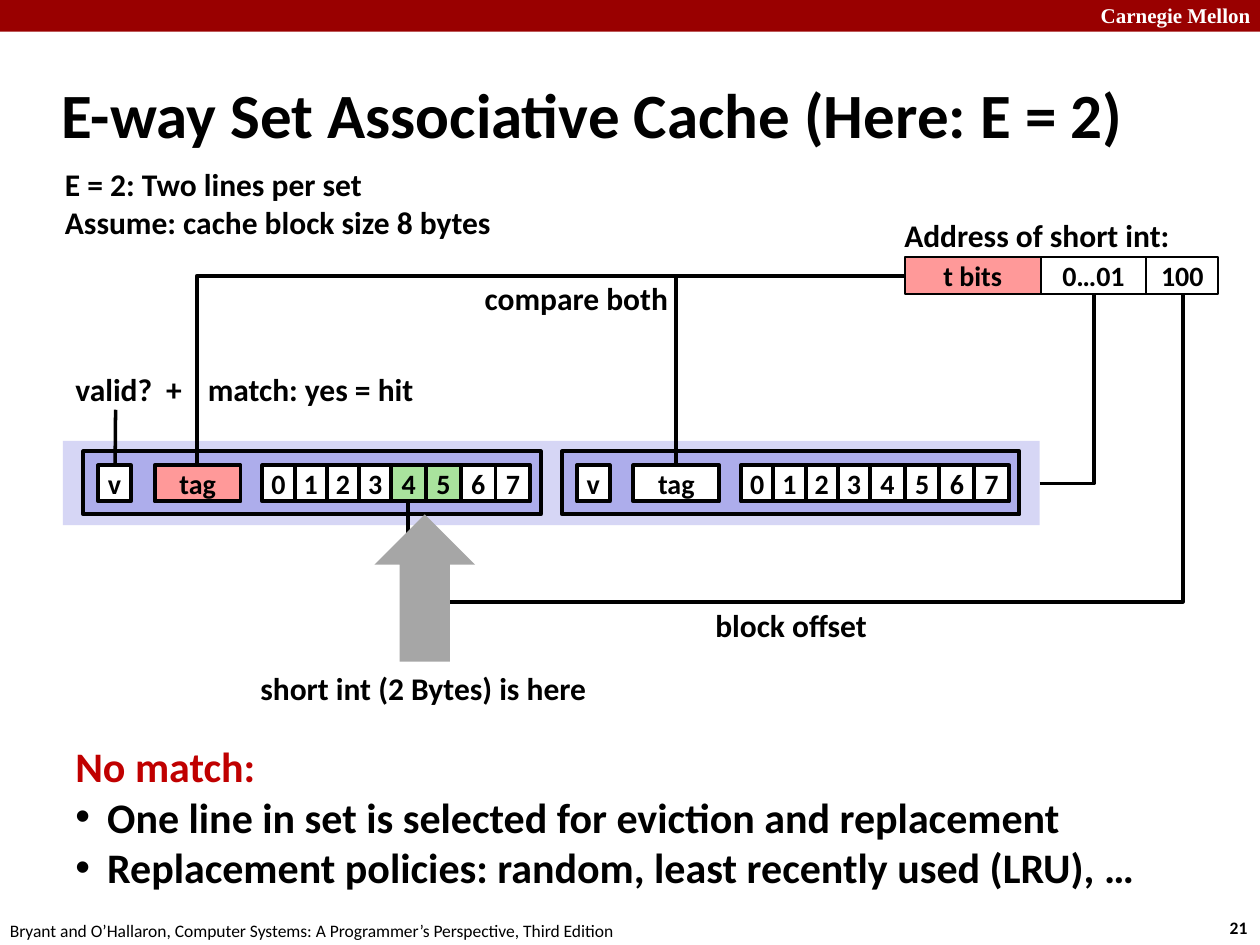
"""Build the slide on an E-way set associative cache with two lines per set."""
from lxml.etree import SubElement
from pptx import Presentation
from pptx.dml.color import RGBColor
from pptx.enum.shapes import MSO_CONNECTOR as CONN, MSO_SHAPE as SHAPE
from pptx.enum.text import MSO_ANCHOR as ANCHOR, PP_ALIGN as ALIGN
from pptx.oxml.ns import qn
from pptx.util import Cm, Pt

BLACK = RGBColor(0x00, 0x00, 0x00)
WHITE = RGBColor(0xFF, 0xFF, 0xFF)
BANNER = RGBColor(0x99, 0x00, 0x00)
RED = RGBColor(0xC0, 0x00, 0x00)
PINK = RGBColor(0xFF, 0x99, 0x99)
GREEN = RGBColor(0xA9, 0xE3, 0x9D)
PALE = RGBColor(0xD6, 0xD6, 0xF5)
LILAC = RGBColor(0xAD, 0xAD, 0xEB)
GREY = RGBColor(0xA6, 0xA6, 0xA6)


def write(p, text, size=18, color=BLACK, bold=True, font="Calibri", bullet=False):
    if bullet:
        pPr = p._p.get_or_add_pPr()
        pPr.set("marL", str(Cm(0.64)))
        pPr.set("indent", str(-Cm(0.64)))
        SubElement(pPr, qn("a:buFont"), typeface="Arial")
        SubElement(pPr, qn("a:buChar"), char="•")
    r = p.add_run()
    r.text = text
    r.font.name, r.font.size = font, Pt(size)
    r.font.bold, r.font.color.rgb = bold, color


class Deck:
    def __init__(self):
        self.prs = Presentation()
        self.prs.slide_width, self.prs.slide_height = Cm(25.4), Cm(19.05)
        self.s = self.prs.slides.add_slide(self.prs.slide_layouts[6])

    def text(self, x, y, w, h, *lines, wrap=False, anchor=ANCHOR.TOP, **fmt):
        tf = self.s.shapes.add_textbox(Cm(x), Cm(y), Cm(w), Cm(h)).text_frame
        tf.word_wrap, tf.vertical_anchor = wrap, anchor
        for i, line in enumerate(lines):
            p = tf.add_paragraph() if i else tf.paragraphs[0]
            text, extra = line if isinstance(line, tuple) else (line, {})
            write(p, text, **{**fmt, **extra})

    def box(self, x, y, w, h, fill, text="", line=None, kind=SHAPE.RECTANGLE):
        sp = self.s.shapes.add_shape(kind, Cm(x), Cm(y), Cm(w), Cm(h))
        sp.shadow.inherit = False
        sp.fill.solid()
        sp.fill.fore_color.rgb = fill
        if line:
            sp.line.color.rgb, sp.line.width = BLACK, Pt(line)
        else:
            sp.line.fill.background()
        if text:
            tf = sp.text_frame
            tf.word_wrap, tf.vertical_anchor = False, ANCHOR.MIDDLE
            tf.paragraphs[0].alignment = ALIGN.CENTER
            write(tf.paragraphs[0], text, size=16)

    def line(self, x1, y1, x2, y2, kind=CONN.STRAIGHT):
        c = self.s.shapes.add_connector(kind, Cm(x1), Cm(y1), Cm(x2), Cm(y2))
        c.line.color.rgb, c.line.width = BLACK, Pt(2)
        spPr = c._element.spPr
        SubElement(spPr, qn("a:effectLst"))
        return spPr

    def corner(self, x1, y1, x2, y2):
        spPr = self.line(x1, y1, x2, y2, CONN.ELBOW)
        spPr.find(qn("a:prstGeom")).set("prst", "bentConnector2")

    def loop(self, x1, y1, x2, y2, adj):
        spPr = self.line(x1, y1, x2, y2, CONN.ELBOW)
        spPr.find(qn("a:xfrm")).set("rot", "5400000")
        guides = spPr.find(qn("a:prstGeom")).get_or_add_avLst()
        SubElement(guides, qn("a:gd"), name="adj1", fmla=f"val {adj}")

    def cache_line(self, x, tag_fill, hits=()):
        self.box(x, 9.1, 9.22, 1.27, LILAC, line=2.25)
        cells = [(0.3, 0.66, "v", WHITE), (1.44, 1.73, "tag", tag_fill)]
        left = 3.61
        for byte in range(8):
            w = 0.65 if byte < 4 else 0.7
            cells.append((left, w, str(byte), GREEN if byte in hits else WHITE))
            left += w
        for dx, w, label, fill in cells:
            self.box(x + dx, 9.38, w, 0.73, fill, label, line=2.25)


def main():
    d = Deck()
    d.box(0, 0, 25.4, 0.64, BANNER)
    d.text(21.94, -0.08, 3.64, 0.77, "Carnegie Mellon", wrap=True,
           size=12, color=WHITE, font="Times New Roman")
    d.text(24.54, 18.36, 0.93, 0.68, "21", size=10)
    d.text(-0.05, 18.42, 12.9, 0.68, "Bryant and O’Hallaron, Computer Systems: "
           "A Programmer’s Perspective, Third Edition", size=10, bold=False)
    d.text(0.99, 1.24, 22.91, 2.11, "E-way Set Associative Cache (Here: E = 2)",
           wrap=True, anchor=ANCHOR.MIDDLE, size=36)
    d.text(1.06, 3.2, 9.17, 1.8, "E = 2: Two lines per set",
           "Assume: cache block size 8 bytes")

    d.text(17.98, 4.24, 5.92, 1.02, "Address of short int:")
    x = 18.24
    for w, fill, bits in ((2.74, PINK, "t bits"), (2.13, WHITE, "0…01"),
                          (1.45, WHITE, "100")):
        d.box(x, 5.18, w, 0.75, fill, bits, line=1)
        x += w

    d.box(1.27, 8.89, 19.69, 1.7, PALE)
    d.cache_line(1.68, PINK, hits=(4, 5))
    d.cache_line(11.33, WHITE)

    d.corner(20.96, 9.75, 22.05, 5.93)
    for tag_x in (13.63, 3.97):
        d.corner(18.24, 5.56, tag_x, 9.38)
    d.line(2.33, 8.26, 2.32, 9.38)
    d.loop(13.94, 0.2, 18.13, 15.82, 148400)
    d.box(7.55, 10.37, 2.03, 2.97, GREY, kind=SHAPE.UP_ARROW)

    for x, y, w, label in ((9.52, 5.51, 4.24, "compare both"),
                           (1.27, 7.34, 2.2, "valid?"),
                           (3.1, 7.34, 0.84, "+"),
                           (3.94, 7.34, 4.7, "match: yes = hit"),
                           (14.17, 12.09, 3.61, "block offset"),
                           (5.0, 13.36, 7.14, "short int (2 Bytes) is here")):
        d.text(x, y, w, 1.02, label)

    d.text(1.27, 14.81, 22.17, 3.33, ("No match:", {"color": RED}),
           ("One line in set is selected for eviction and replacement",
            {"bullet": True}),
           ("Replacement policies: random, least recently used (LRU), …",
            {"bullet": True}), size=24)
    d.prs.save("out.pptx")


if __name__ == "__main__":
    main()
